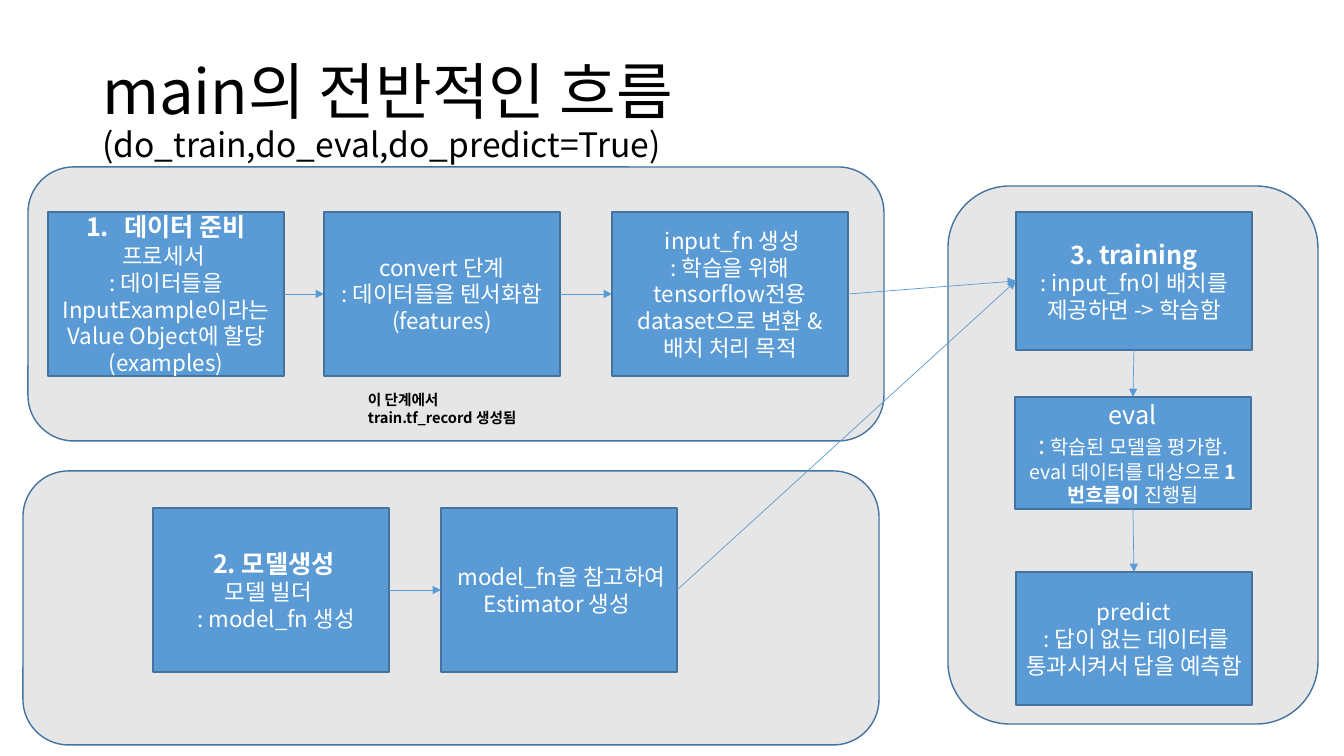
import dataclasses

import lxml.etree
import pptx
import pptx.dml.color
import pptx.enum.dml
import pptx.enum.shapes
import pptx.enum.text
import pptx.oxml.ns
import pptx.util

SCALE = 914400 / 100.8  # EMU per pixel
FONT = "Noto Sans CJK KR"
BLACK, WHITE = "000000", "FFFFFF"
PANEL_FILL, BOX_FILL, OUTLINE, ARROW = "E7E6E6", "5B9BD5", "43739E", "5B9BD5"
BOX_WIDTH, STEP_HEIGHT, PITCH = 236, 164, 288
DATA_TOP, MODEL_TOP = 212, 508
INPUT_LEFT, MODEL_LEFT, TRAIN_LEFT = 612, 153, 1016

ALIGN = pptx.enum.text.PP_ALIGN
ANCHOR = pptx.enum.text.MSO_ANCHOR
SHAPE = pptx.enum.shapes.MSO_SHAPE
TOP, LEFT, BOTTOM, RIGHT = range(4)  # connection sites of a rectangle


@dataclasses.dataclass(frozen=True)
class Area:
    left: int
    top: int
    width: int
    height: int

    def emu(self) -> list[int]:
        return [px(value) for value in dataclasses.astuple(self)]


@dataclasses.dataclass(frozen=True)
class Span:
    text: str
    size: float = 16
    bold: bool = False


@dataclasses.dataclass(frozen=True)
class Step:
    name: str
    area: Area
    paras: list[list[Span]]
    numbered: bool = False


@dataclasses.dataclass(frozen=True)
class Link:
    start: str
    start_site: int
    end: str
    end_site: int


def px(value: float) -> int:
    return round(value * SCALE)


def rgb(code: str) -> pptx.dml.color.RGBColor:
    return pptx.dml.color.RGBColor.from_string(code)


def add_child(parent, tag: str, **attributes: str):
    return lxml.etree.SubElement(parent, pptx.oxml.ns.qn(tag), **attributes)


def format_run(run, size: float, bold: bool, color: str) -> None:
    run.font.size = pptx.util.Pt(size)
    run.font.bold = bold
    run.font.name = FONT
    run.font.color.rgb = rgb(color)
    add_child(run.font._element, "a:ea", typeface=FONT)


def number_paragraph(para) -> None:
    properties = para._p.get_or_add_pPr()
    properties.set("marL", str(pptx.util.Inches(0.38)))
    properties.set("indent", str(pptx.util.Inches(-0.38)))
    add_child(properties, "a:buFont", typeface="+mj-lt")
    add_child(properties, "a:buAutoNum", type="arabicPeriod")


def add_block(page, kind, area: Area, fill: str):
    block = page.shapes.add_shape(kind, *area.emu())
    block.shadow.inherit = False
    block.fill.solid()
    block.fill.fore_color.rgb = rgb(fill)
    block.line.color.rgb = rgb(OUTLINE)
    block.line.width = pptx.util.Pt(1)
    return block


def add_step(page, step: Step):
    box = add_block(page, SHAPE.RECTANGLE, step.area, BOX_FILL)
    frame = box.text_frame
    frame.word_wrap = True
    frame.vertical_anchor = ANCHOR.MIDDLE
    for index, spans in enumerate(step.paras):
        para = frame.add_paragraph() if index else frame.paragraphs[0]
        para.alignment = ALIGN.CENTER
        for span in spans:
            run = para.add_run()
            run.text = span.text
            format_run(run, span.size, span.bold, WHITE)
    if step.numbered:
        number_paragraph(frame.paragraphs[0])
    return box


def add_link(page, boxes: dict, link: Link) -> None:
    arrow = page.shapes.add_connector(pptx.enum.shapes.MSO_CONNECTOR.STRAIGHT, 0, 0, 0, 0)
    arrow.begin_connect(boxes[link.start], link.start_site)
    arrow.end_connect(boxes[link.end], link.end_site)
    arrow.line.color.rgb = rgb(ARROW)
    arrow.line.width = pptx.util.Pt(0.5)
    add_child(arrow.line._get_or_add_ln(), "a:tailEnd", type="triangle")
    add_child(arrow._element.spPr, "a:effectLst")


PANELS = [Area(948, 186, 370, 538), Area(23, 471, 856, 274), Area(28, 167, 856, 274)]

STEPS = [
    # Data preparation
    Step("data", Area(48, DATA_TOP, BOX_WIDTH, STEP_HEIGHT), [
        [Span("데이터 준비", 18, True)],
        [Span("프로세서 ")],
        [Span(": 데이터들을 InputExample이라는 Value Object에 할당(examples)")],
    ], numbered=True),
    Step("convert", Area(INPUT_LEFT - PITCH, DATA_TOP, BOX_WIDTH, STEP_HEIGHT), [
        [Span("convert 단계")],
        [Span(": 데이터들을 텐서화함")],
        [Span("(features)")],
    ]),
    Step("input_fn", Area(INPUT_LEFT, DATA_TOP, BOX_WIDTH, STEP_HEIGHT), [
        [Span(" input_fn 생성")],
        [Span(": 학습을 위해 tensorflow전용 dataset으로 변환 & 배치 처리 목적")],
    ]),
    # Model creation
    Step("builder", Area(MODEL_LEFT, MODEL_TOP, BOX_WIDTH, STEP_HEIGHT), [
        [Span(" ", 18), Span("2. 모델생성", 18, True)],
        [Span("모델 빌더 ")],
        [Span("  : model_fn 생성")],
    ]),
    Step("estimator", Area(MODEL_LEFT + PITCH, MODEL_TOP, BOX_WIDTH, STEP_HEIGHT), [
        [Span(" model_fn을 참고하여 Estimator 생성 ")],
    ]),
    # Training, evaluation, prediction
    Step("train", Area(TRAIN_LEFT, DATA_TOP, BOX_WIDTH, 138), [
        [Span("3. training", 18, True)],
        [Span(": input_fn이 배치를 제공하면 -> 학습함")],
    ]),
    Step("eval", Area(TRAIN_LEFT - 1, 397, BOX_WIDTH, 112), [
        [Span("eval", 18)],
        [Span(": ", 18), Span("학습된 모델을 평가함. eval 데이터를 대상으로 ", 14),
         Span("1번흐름이 ", 14, True), Span("진행됨", 14)],
    ]),
    Step("predict", Area(TRAIN_LEFT, 572, BOX_WIDTH, 133), [
        [Span("predict")],
        [Span(" : 답이 없는 데이터를 통과시켜서 답을 예측함")],
    ]),
]

LINKS = [
    Link("data", RIGHT, "convert", LEFT),
    Link("convert", RIGHT, "input_fn", LEFT),
    Link("builder", RIGHT, "estimator", LEFT),
    Link("input_fn", RIGHT, "train", LEFT),
    Link("estimator", RIGHT, "train", LEFT),
    Link("train", BOTTOM, "eval", TOP),
    Link("eval", BOTTOM, "predict", TOP),
]

deck = pptx.Presentation()
deck.slide_width, deck.slide_height = px(1344), px(756)
page = deck.slides.add_slide(deck.slide_layouts[5])

# Title
title = page.shapes.title
title.left, title.top, title.width, title.height = Area(92, 40, 1159, 146).emu()
title.text_frame.text = "main의 전반적인 흐름\v(do_train,do_eval,do_predict=True)"
title.text_frame.auto_size = pptx.enum.text.MSO_AUTO_SIZE.NONE
title.text_frame.vertical_anchor = ANCHOR.MIDDLE
heading = title.text_frame.paragraphs[0]
heading.alignment = ALIGN.LEFT
heading.line_spacing = 0.9
for run, size in zip(heading.runs, (44, 24)):
    format_run(run, size, False, BLACK)

# Panels, steps and arrows
for panel in PANELS:
    add_block(page, SHAPE.ROUNDED_RECTANGLE, panel, PANEL_FILL)
boxes = {step.name: add_step(page, step) for step in STEPS}
for link in LINKS:
    add_link(page, boxes, link)

# Caption under the convert step
caption = page.shapes.add_textbox(*Area(358, 386, 176, 28).emu())
caption.text_frame.word_wrap = True
caption.text_frame.auto_size = pptx.enum.text.MSO_AUTO_SIZE.SHAPE_TO_FIT_TEXT
caption.text_frame.text = "이 단계에서 train.tf_record 생성됨"
format_run(caption.text_frame.paragraphs[0].runs[0], 10.5, True, BLACK)

deck.save("out.pptx")
